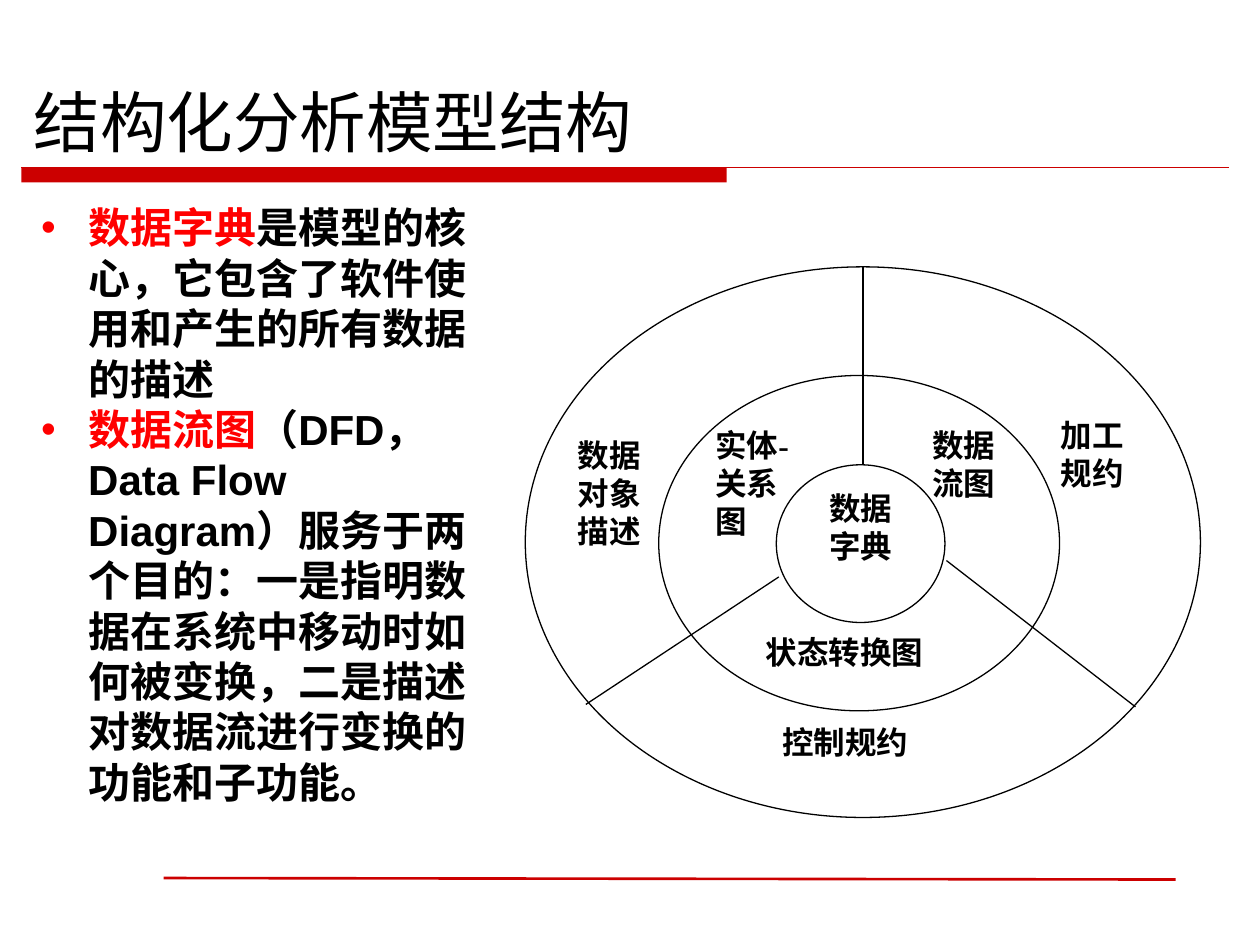
import pptx
import pptx.util
import pptx.dml.color
import pptx.enum.shapes
import pptx.enum.text
import pptx.oxml.ns
import lxml.etree

Cm, Pt = pptx.util.Cm, pptx.util.Pt
Shape = pptx.enum.shapes.MSO_SHAPE
Align = pptx.enum.text.PP_ALIGN
Anchor = pptx.enum.text.MSO_ANCHOR
HUES = {"ink": "000000", "paper": "FFFFFF", "rule": "CC0000", "key": "FF0000"}


def hue(name):
    return pptx.dml.color.RGBColor.from_string(HUES[name])


def add_tag(parent, tag, **attrs):
    return lxml.etree.SubElement(parent, pptx.oxml.ns.qn(tag), **attrs)


class Page:
    """Holds the label style and the slide being drawn; lengths are in cm."""

    font, size, thin = "Calibri", 18, 0.75

    def __init__(self, slide):
        self.slide = slide

    def style(self, para, font, size, bold, color="ink"):
        para.font.name = font
        para.font.size = Pt(size)
        para.font.bold = bold
        para.font.color.rgb = hue(color)

    def inset(self, frame, side, top):
        frame.margin_left = frame.margin_right = Cm(side)
        frame.margin_top = frame.margin_bottom = Cm(top)
        frame.word_wrap = True

    def line(self, start, end, color="ink", width=thin):
        line = self.slide.shapes.add_connector(
            pptx.enum.shapes.MSO_CONNECTOR.STRAIGHT, *map(Cm, start + end))
        line.line.color.rgb = hue(color)
        line.line.width = Pt(width)
        add_tag(line._element.spPr, "a:effectLst")

    def shape(self, kind, box, fill=None, edge=None):
        shape = self.slide.shapes.add_shape(kind, *map(Cm, box))
        shape.shadow.inherit = False
        if fill:
            shape.fill.solid()
            shape.fill.fore_color.rgb = hue(fill)
        else:
            shape.fill.background()
        if edge:
            shape.line.color.rgb = hue(edge)
            shape.line.width = Pt(self.thin)
        else:
            shape.line.fill.background()
        return shape

    def text(self, box):
        return self.slide.shapes.add_textbox(*map(Cm, box)).text_frame

    def title(self, box, words):
        frame = self.text(box)
        frame.word_wrap = True
        frame.vertical_anchor = Anchor.BOTTOM
        frame.text = words
        self.style(frame.paragraphs[0], "Noto Sans CJK SC", 38, False)

    def label(self, frame, rows, align=Align.JUSTIFY):
        self.inset(frame, 0.25, 0.03)
        frame.vertical_anchor = Anchor.TOP
        frame.text = "\n".join(rows)
        for para in frame.paragraphs:
            para.alignment = align
            self.style(para, self.font, self.size, True)

    def points(self, box, items):
        """Bulleted list; each item is a red key term and its explanation."""
        frame = self.text(box)
        self.inset(frame, 0.25, 0.13)
        frame.auto_size = pptx.enum.text.MSO_AUTO_SIZE.SHAPE_TO_FIT_TEXT
        for i, (term, rest) in enumerate(items):
            para = frame.add_paragraph() if i else frame.paragraphs[0]
            props = para._p.get_or_add_pPr()
            props.set("marL", str(Cm(0.95)))
            props.set("indent", str(-Cm(0.95)))
            add_tag(add_tag(props, "a:buClr"), "a:srgbClr", val=HUES["key"])
            add_tag(props, "a:buFont", typeface="Arial")
            add_tag(props, "a:buChar", char="•")
            self.style(para, "Arial", 24, True)
            run = para.add_run()
            run.text = term
            run.font.color.rgb = hue("key")
            para.add_run().text = rest


def main():
    deck = pptx.Presentation()
    deck.slide_width, deck.slide_height = Cm(25.4), Cm(19.05)
    page = Page(deck.slides.add_slide(deck.slide_layouts[6]))

    page.shape(Shape.RECTANGLE, (0.43, 3.38, 14.22, 0.3), "rule")
    page.line((0.43, 3.38), (24.77, 3.38), "rule")
    page.line((3.3, 17.7), (23.7, 17.73), "rule", 1.5)
    page.title((0.43, 1.52, 24.77, 1.85), "结构化分析模型结构")

    core = page.shape(Shape.FLOWCHART_CONNECTOR, (15.65, 9.37, 3.4, 3.18),
                      "paper", "ink")
    page.label(core.text_frame, ["数据", "字典"], Align.CENTER)
    for ring in ((13.28, 7.57, 8.08, 6.76), (10.59, 5.38, 13.61, 11.1)):
        page.shape(Shape.OVAL, ring, edge="ink")
    for inner, outer in (((17.4, 9.35), (17.4, 5.38)),
                         ((15.7, 11.63), (11.81, 14.2)),
                         ((19.08, 11.3), (22.89, 14.25))):
        page.line(inner, outer)

    entity = page.text((14.17, 8.56, 2.92, 3.28))
    page.label(entity, ["实体", "关系", "图"])
    dash = entity.paragraphs[0].add_run()
    dash.text = "-"
    dash.font.name = "Times New Roman"
    for box, rows in (((18.54, 8.56, 2.95, 2.95), ["数据", "流图"]),
                      ((21.13, 8.36, 3.18, 2.79), ["加工", "规约"]),
                      ((11.4, 8.76, 3.23, 3.12), ["数据", "对象", "描述"]),
                      ((15.19, 12.73, 4.88, 1.12), ["状态转换图"]),
                      ((15.52, 14.55, 4.34, 1.47), ["控制规约"])):
        page.label(page.text(box), rows)

    page.points((0.58, 3.94, 9.12, 12.45), [
        ("数据字典", "是模型的核心，它包含了软件使用和产生的所有数据的描述"),
        ("数据流图", "（DFD，Data Flow Diagram）服务于两个目的：一是指明数据在"
                     "系统中移动时如何被变换，二是描述对数据流进行变换的功能和子功能。"),
    ])
    deck.save("out.pptx")


if __name__ == "__main__":
    main()
